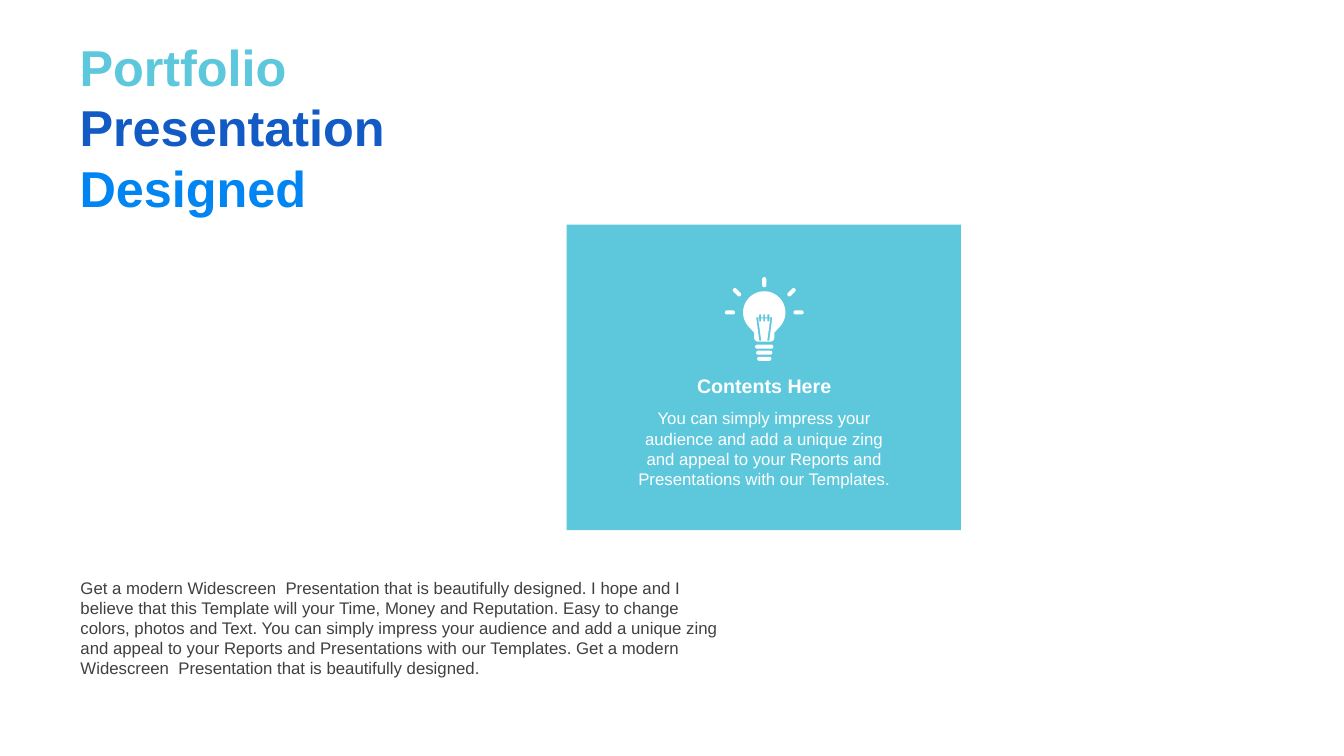
import math
from dataclasses import dataclass

import pptx
import pptx.dml.color
import pptx.enum.shapes
import pptx.enum.text
import pptx.util

Inches = pptx.util.Inches
ALIGN = pptx.enum.text.PP_ALIGN
ANCHOR = pptx.enum.text.MSO_ANCHOR


@dataclass(frozen=True)
class Theme:
    font: str = "Arial"
    aqua: str = "5DC8DC"
    navy: str = "125AC4"
    azure: str = "0085F2"
    white: str = "FFFFFF"
    ink: str = "404040"
    title_size: int = 36
    heading_size: int = 14
    body_size: int = 12


class SlideBuilder:
    def __init__(self, slide, theme):
        self.shapes = slide.shapes
        self.theme = theme

    def paint(self, shape, color):
        shape.shadow.inherit = False
        shape.fill.solid()
        shape.fill.fore_color.rgb = pptx.dml.color.RGBColor.from_string(color)
        shape.line.fill.background()

    def panel(self, box, color):
        rectangle = pptx.enum.shapes.MSO_SHAPE.RECTANGLE
        self.paint(self.shapes.add_shape(rectangle, *map(Inches, box)), color)

    def text(self, box, runs, size, bold=False, align=ALIGN.LEFT,
             anchor=ANCHOR.TOP):
        """Place one paragraph made of (wording, color) runs."""
        frame = self.shapes.add_textbox(*map(Inches, box)).text_frame
        frame.word_wrap = True
        frame.vertical_anchor = anchor
        paragraph = frame.paragraphs[0]
        paragraph.alignment = align
        for wording, color in runs:
            run = paragraph.add_run()
            run.text = wording
            run.font.name = self.theme.font
            run.font.size = pptx.util.Pt(size)
            run.font.bold = bold
            run.font.color.rgb = pptx.dml.color.RGBColor.from_string(color)

    def outline(self, contours, color):
        """Draw closed contours as one shape; inner contours become holes."""
        contours = [[(Inches(x), Inches(y)) for x, y in contour]
                    for contour in contours]
        builder = self.shapes.build_freeform(*contours[0][0])
        for index, (start, *others) in enumerate(contours):
            if index:
                builder.move_to(*start)
            builder.add_line_segments(others, close=True)
        self.paint(builder.convert_to_shape(), color)


def arc(x, y, radius, first, last, steps=12):
    angles = [math.radians(first + (last - first) * i / steps)
              for i in range(steps + 1)]
    return [(x + radius * math.cos(a), y + radius * math.sin(a))
            for a in angles]


def capsule(x, y, length, angle=0, thickness=0.04):
    """Outline of a round-ended bar centred on x, y."""
    radius = thickness / 2
    reach = length / 2 - radius
    dx = reach * math.cos(math.radians(angle))
    dy = reach * math.sin(math.radians(angle))
    return (arc(x + dx, y + dy, radius, angle - 90, angle + 90)
            + arc(x - dx, y - dy, radius, angle + 90, angle + 270))


def mirrored(x, y, right_half):
    """Close a right-hand outline, given as offsets, with its reflection."""
    return ([(x + dx, y + dy) for dx, dy in right_half]
            + [(x - dx, y + dy) for dx, dy in reversed(right_half)])


def light_bulb(x, y):
    """Contours of a shining bulb whose glass is centred on x, y."""
    glass = arc(0, 0, 0.21, -90, 45, 24)
    neck = [(0.1, 0.2)] + arc(0.06, 0.25, 0.04, 0, 90)
    filament = [
        (0.01, 0.02), (0.01, 0.05), (0.03, 0.05), (0.03, 0.02),
        (0.05, 0.02), (0.05, 0.05), (0.08, 0.05), (0.05, 0.28),
        (0.03, 0.28), (0.06, 0.06), (0.05, 0.06), (0.05, 0.09),
        (0.03, 0.09), (0.03, 0.06), (0.01, 0.06), (0.01, 0.09),
    ]
    rays = [(-0.34, 0, 0), (-0.27, -0.2, 45), (0, -0.3, 90),
            (0.27, -0.2, -45), (0.34, 0, 0)]
    contours = [mirrored(x, y, glass + neck), mirrored(x, y, filament)]
    contours += [capsule(x + dx, y + dy, 0.1, angle) for dx, dy, angle in rays]
    contours += [capsule(x, y + 0.34 + 0.06 * i, 0.18 - 0.02 * i)
                 for i in range(3)]
    return contours


def main():
    theme = Theme()
    deck = pptx.Presentation()
    deck.slide_width, deck.slide_height = Inches(13.33), Inches(7.5)
    slide = SlideBuilder(deck.slides.add_slide(deck.slide_layouts[6]), theme)

    slide.panel((5.62, 2.23, 3.91, 3.03), theme.aqua)
    slide.text((0.69, 0.39, 3.48, 1.73),
               [("Portfolio ", theme.aqua), ("Presentation ", theme.navy),
                ("Designed", theme.azure)],
               theme.title_size, bold=True, anchor=ANCHOR.MIDDLE)

    pitch = ("You can simply impress your audience and add a unique zing and "
             "appeal to your Reports and Presentations with our Templates.")
    slide.text((6.23, 3.66, 2.7, 0.34), [("Contents Here", theme.white)],
               theme.heading_size, bold=True, align=ALIGN.CENTER)
    slide.text((6.23, 4, 2.7, 0.91), [(pitch, theme.white)],
               theme.body_size, align=ALIGN.CENTER)

    offer = "Get a modern Widescreen  Presentation that is beautifully designed."
    summary = (f"{offer} I hope and I believe that this Template will your "
               "Time, Money and Reputation. Easy to change colors, photos and "
               f"Text. {pitch} {offer}")
    slide.text((0.7, 5.68, 6.67, 1.11), [(summary, theme.ink)],
               theme.body_size)

    slide.outline(light_bulb(7.58, 3.1), theme.white)
    deck.save("out.pptx")


if __name__ == "__main__":
    main()
